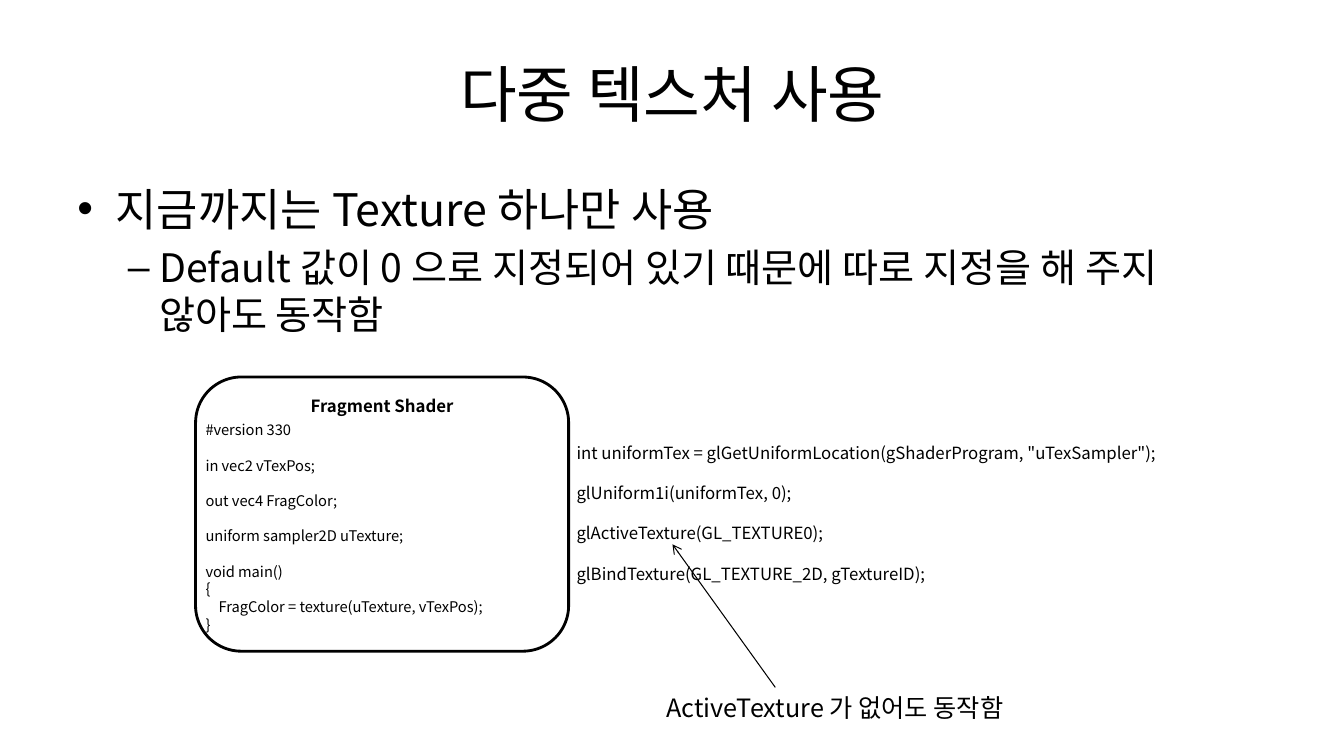
from dataclasses import dataclass

from lxml.etree import SubElement
from pptx import Presentation
from pptx.dml.color import RGBColor
from pptx.enum.shapes import MSO_CONNECTOR, MSO_SHAPE
from pptx.enum.text import MSO_ANCHOR, PP_ALIGN
from pptx.oxml.ns import qn
from pptx.util import Inches, Pt


@dataclass(frozen=True)
class Theme:
    font: str = "Noto Sans CJK KR"
    ink: RGBColor = RGBColor(0, 0, 0)
    paper: RGBColor = RGBColor(255, 255, 255)
    title: float = 44
    bullet: float = 32
    dash: float = 28
    note: float = 18
    call: float = 12
    shader: float = 10.5
    line_height: float = 1.2


theme = Theme()


def write(frame, text, size, first=False, bold=False, align=PP_ALIGN.LEFT,
          before=0, bullet=None, left=0, hanging=0):
    paragraph = frame.paragraphs[0] if first else frame.add_paragraph()
    paragraph.alignment = align
    paragraph.line_spacing = Pt(size * theme.line_height)
    paragraph.space_before = Pt(before)
    properties = paragraph._p.get_or_add_pPr()
    properties.set("marL", str(Inches(left)))
    properties.set("indent", str(-Inches(hanging)))
    if bullet:
        SubElement(properties, qn("a:buFont"), typeface="Arial")
        SubElement(properties, qn("a:buChar"), char=bullet)
    run = paragraph.add_run()
    run.text = text
    font = run.font
    font.name, font.size, font.bold = theme.font, Pt(size), bold
    font.color.rgb = theme.ink
    SubElement(run._r.get_or_add_rPr(), qn("a:ea"), typeface=theme.font)


def add_frame(left, top, width, height, anchor=MSO_ANCHOR.TOP):
    box = slide.shapes.add_textbox(Inches(left), Inches(top), Inches(width), Inches(height))
    box.text_frame.word_wrap = True
    box.text_frame.vertical_anchor = anchor
    return box.text_frame


presentation = Presentation()
presentation.slide_width = Inches(13.33)
presentation.slide_height = Inches(7.5)
slide = presentation.slides.add_slide(presentation.slide_layouts[6])

title = add_frame(0.67, 0.3, 12, 1.25, MSO_ANCHOR.MIDDLE)
write(title, "다중 텍스처 사용", theme.title, first=True, align=PP_ALIGN.CENTER)

body = add_frame(0.67, 1.75, 12, 4.95)
write(body, "지금까지는 Texture 하나만 사용", theme.bullet, first=True,
      before=theme.bullet * 0.2, bullet="•", left=0.38, hanging=0.38)
write(body, "Default 값이 0 으로 지정되어 있기 때문에 따로 지정을 해 주지 않아도 동작함",
      theme.dash, before=theme.dash * 0.2, bullet="–", left=0.81, hanging=0.31)

shader_box = slide.shapes.add_shape(
    MSO_SHAPE.ROUNDED_RECTANGLE, Inches(1.94), Inches(3.74), Inches(3.7), Inches(2.72))
shader_box.shadow.inherit = False
shader_box.fill.solid()
shader_box.fill.fore_color.rgb = theme.paper
shader_box.line.color.rgb = theme.ink
shader_box.line.width = Pt(2)
shader_box.text_frame.word_wrap = True
shader_box.text_frame.vertical_anchor = MSO_ANCHOR.TOP
write(shader_box.text_frame, "Fragment Shader", theme.call, first=True, bold=True,
      align=PP_ALIGN.CENTER)

shader_code = add_frame(1.94, 4.13, 3.7, 2.22)
shader_gap = theme.shader * theme.line_height
declarations = ["#version 330", "in vec2 vTexPos;", "out vec4 FragColor;",
                "uniform sampler2D uTexture;", "void main()"]
for index, line in enumerate(declarations):
    write(shader_code, line, theme.shader, first=index == 0,
          before=shader_gap if index else 0)
for line, left in [("{", 0), ("FragColor = texture(uTexture, vTexPos);", 0.13), ("}", 0)]:
    write(shader_code, line, theme.shader, left=left)

gl_calls = add_frame(5.62, 4.34, 6.06, 1.51)
calls = ['int uniformTex = glGetUniformLocation(gShaderProgram, "uTexSampler");',
         "glUniform1i(uniformTex, 0);",
         "glActiveTexture(GL_TEXTURE0);",
         "glBindTexture(GL_TEXTURE_2D, gTextureID);"]
for index, line in enumerate(calls):
    write(gl_calls, line, theme.call, first=index == 0,
          before=theme.call * theme.line_height if index else 0)

note = add_frame(6.51, 6.82, 4.33, 0.4)
write(note, "ActiveTexture 가 없어도 동작함", theme.note, first=True)

arrow = slide.shapes.add_connector(
    MSO_CONNECTOR.STRAIGHT, Inches(7.69), Inches(6.82), Inches(6.67), Inches(5.4))
arrow.line.color.rgb = theme.ink
arrow.line.width = Pt(0.75)
SubElement(arrow.line._get_or_add_ln(), qn("a:tailEnd"), type="arrow")
SubElement(arrow._element.spPr, qn("a:effectLst"))

presentation.save("out.pptx")
